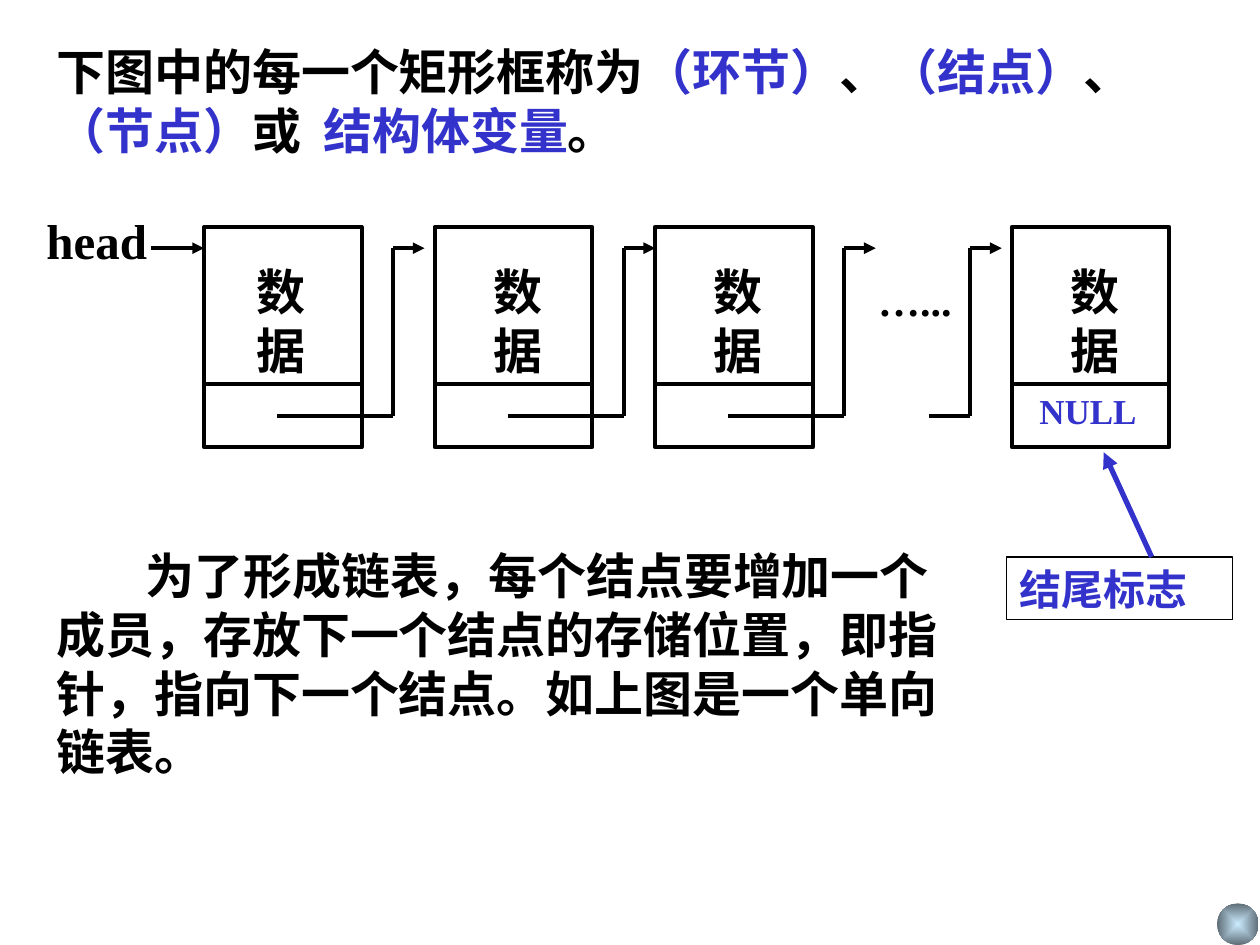
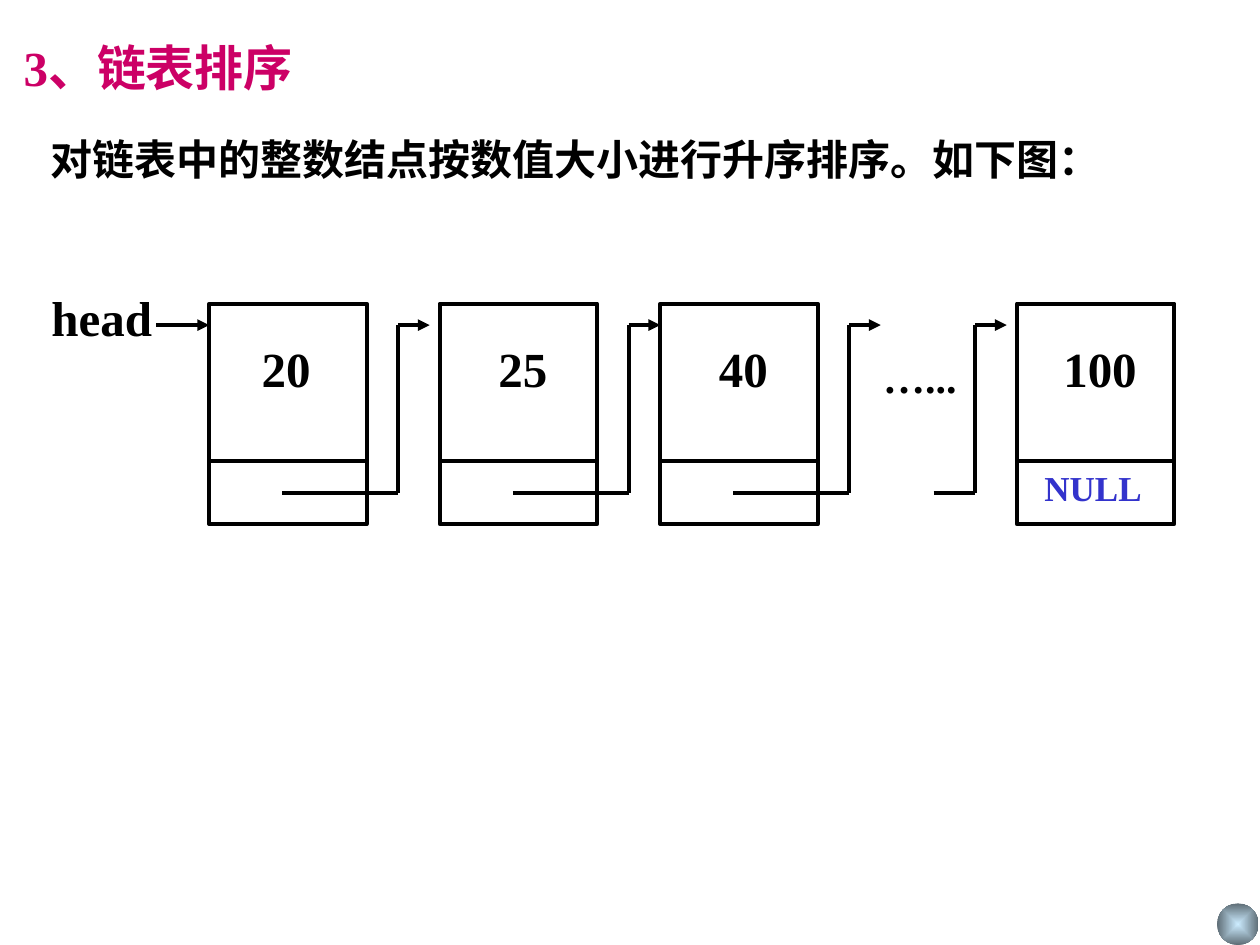
from pptx import Presentation
from pptx.dml.color import RGBColor
from pptx.enum.lang import MSO_LANGUAGE_ID
from pptx.enum.shapes import MSO_CONNECTOR, MSO_SHAPE
from pptx.enum.text import MSO_ANCHOR, MSO_AUTO_SIZE, PP_ALIGN
from pptx.oxml import parse_xml
from pptx.oxml.ns import nsdecls, qn
from pptx.util import Inches, Pt
from lxml.etree import SubElement

BLACK, BLUE, MAGENTA = "000000", "3333CC", "CC0066"
BALL_CENTER, BALL_EDGE = "CCECFF", "5E6D76"
FONT = "Times New Roman"
LINE_WIDTH = 2.24

NODE_LEFTS = (1.62, 3.45, 5.2, 8.03)
NODE_TOP, NODE_WIDTH, NODE_HEIGHT = 1.8, 1.25, 1.75
DATA_HEIGHT = 1.25
LABEL_CENTERS = (0.61, 0.66, 0.66, 0.66)
ARROW_Y, POINTER_Y = 1.97, 3.3


def color(hex_string):
    """Turn a hex string into a colour."""
    return RGBColor.from_string(hex_string)


def fill_text(shape, runs, size, wrap=True, align=PP_ALIGN.LEFT, indent=0):
    """Write (text, colour) runs as one bold paragraph."""
    frame = shape.text_frame
    frame.word_wrap = wrap
    frame.auto_size = MSO_AUTO_SIZE.SHAPE_TO_FIT_TEXT
    frame.vertical_anchor = MSO_ANCHOR.TOP
    paragraph = frame.paragraphs[0]
    paragraph.alignment = align
    if indent:
        properties = paragraph._p.get_or_add_pPr()
        properties.set("marL", "0")
        properties.set("indent", str(Inches(indent)))
    for text, run_color in runs:
        run = paragraph.add_run()
        run.text = text
        run.font.name = FONT
        run.font.size = Pt(size)
        run.font.bold = True
        run.font.color.rgb = color(run_color)
        run.font.language_id = MSO_LANGUAGE_ID.SIMPLIFIED_CHINESE


def add_text(shapes, box, runs, size=28, **options):
    """Add a text box at (left, top, width, height)."""
    shape = shapes.add_textbox(*map(Inches, box))
    fill_text(shape, runs, size, **options)


def add_box(shapes, box, width):
    """Add an unfilled rectangle with a black outline."""
    shape = shapes.add_shape(MSO_SHAPE.RECTANGLE, *map(Inches, box))
    shape.shadow.inherit = False
    shape.fill.background()
    shape.line.color.rgb = color(BLACK)
    shape.line.width = Pt(width)
    return shape


def add_line(shapes, start, end, arrow=False, line_color=BLACK, width=LINE_WIDTH):
    """Add a straight line, with an arrowhead at its end if wanted."""
    line = shapes.add_connector(MSO_CONNECTOR.STRAIGHT, *map(Inches, start + end))
    line.line.color.rgb = color(line_color)
    line.line.width = Pt(width)
    if arrow:
        SubElement(line.line._get_or_add_ln(), qn("a:tailEnd"), type="triangle")
    SubElement(line._element.spPr, qn("a:effectLst"))


def add_corner_ball(slide):
    """Add the shaded ball in the bottom right corner."""
    ball = slide.shapes.add_shape(
        MSO_SHAPE.OVAL, *map(Inches, (9.66, 7.17, 0.33, 0.33)))
    ball.shadow.inherit = False
    ball.line.fill.background()
    gradient = parse_xml(
        f'<a:gradFill {nsdecls("a")} rotWithShape="1"><a:gsLst>'
        f'<a:gs pos="0"><a:srgbClr val="{BALL_CENTER}"/></a:gs>'
        f'<a:gs pos="100000"><a:srgbClr val="{BALL_EDGE}"/></a:gs></a:gsLst>'
        '<a:path path="rect"><a:fillToRect l="50000" t="50000" r="50000" b="50000"/>'
        '</a:path></a:gradFill>')
    ball._element.spPr.find(qn("a:prstGeom")).addnext(gradient)


def add_node(slide, left, top, label, label_center, label_width):
    """Add a list node: a data cell above a pointer cell."""
    shapes = slide.shapes.add_group_shape().shapes
    add_box(shapes, (left, top, NODE_WIDTH, NODE_HEIGHT), LINE_WIDTH)
    divider = top + DATA_HEIGHT
    add_line(shapes, (left, divider), (left + NODE_WIDTH, divider))
    label_left = left + label_center - label_width / 2
    add_text(shapes, (label_left, top + 0.23, label_width, 0.57),
             [(label, BLACK)], wrap=False, align=PP_ALIGN.CENTER)


def add_link(slide, start, turn, dy):
    """Add the bent arrow from a pointer cell to the next node."""
    shapes = slide.shapes.add_group_shape().shapes
    low, high = POINTER_Y + dy, ARROW_Y + dy
    add_line(shapes, (start, low), (turn, low))
    add_line(shapes, (turn, low), (turn, high))
    add_line(shapes, (turn, high), (turn + 0.25, high), arrow=True)


def add_linked_list(slide, labels, label_widths, dx=0, dy=0):
    """Draw the linked list, shifted by dx and dy."""
    for left, label, center, width in zip(
            NODE_LEFTS, labels, LABEL_CENTERS, label_widths):
        add_node(slide, left + dx, NODE_TOP + dy, label, center, width)
    for left in NODE_LEFTS[:-1]:
        add_link(slide, left + dx + 0.58, left + dx + 1.5, dy)
    add_link(slide, 7.37 + dx, 7.7 + dx, dy)
    shapes = slide.shapes
    add_text(shapes, (6.87 + dx, 2.13 + dy, 0.78, 0.5),
             [("…...", BLACK)], 24, wrap=False)
    add_line(shapes, (1.2 + dx, ARROW_Y + dy),
             (NODE_LEFTS[0] + dx, ARROW_Y + dy), arrow=True)
    add_text(shapes, (0.27 + dx, 1.62 + dy, 1, 0.57),
             [("head", BLACK)], wrap=False)
    add_text(shapes, (8.15 + dx, 3.04 + dy, 0.97, 0.44),
             [("NULL", BLUE)], 20, wrap=False)


def add_end_mark(slide):
    """Add the boxed note that points at the NULL cell."""
    shapes = slide.shapes.add_group_shape().shapes
    note = add_box(shapes, (7.99, 4.42, 1.79, 0.5), 0.74)
    fill_text(note, [("结尾标志", BLUE)], 24)
    add_line(shapes, (9.14, 4.42), (8.76, 3.59), True, BLUE, 3)


def build_node_slide(slide):
    """Explain what the nodes of a linked list are."""
    add_text(slide.shapes, (0.35, 0.28, 9.29, 1.04), [
        ("下图中的每一个矩形框称为", BLACK), ("（环节）", BLUE), ("、", BLACK),
        ("（结点）", BLUE), ("、", BLACK), ("（节点）", BLUE),
        ("或  ", BLACK), ("结构体变量", BLUE), ("。", BLACK)])
    add_linked_list(slide, ["数据"] * 4, [0.97] * 4)
    add_text(slide.shapes, (0.35, 4.28, 7.25, 1.97), [
        ("为了形成链表，每个结点要增加一个成员，存放下一个结点的存储位置，"
         "即指针，指向下一个结点。如上图是一个单向链表。", BLACK)], indent=0.71)
    add_end_mark(slide)


def build_sorting_slide(slide):
    """Show the sorted linked list."""
    add_text(slide.shapes, (0.09, 0.25, 7.27, 0.57), [("3、链表排序", MAGENTA)])
    add_text(slide.shapes, (0.3, 1.01, 9.02, 0.5),
             [("对链表中的整数结点按数值大小进行升序排序。如下图：", BLACK)], 24)
    add_linked_list(slide, ["20", "25", "40", "100"],
                    [0.59, 0.59, 0.59, 0.78], dx=0.04, dy=0.61)


def main():
    """Build both slides and save the file."""
    presentation = Presentation()
    presentation.slide_width = Inches(10)
    presentation.slide_height = Inches(7.5)
    for build in (build_node_slide, build_sorting_slide):
        slide = presentation.slides.add_slide(presentation.slide_layouts[6])
        add_corner_ball(slide)
        build(slide)
    presentation.save("out.pptx")


main()
